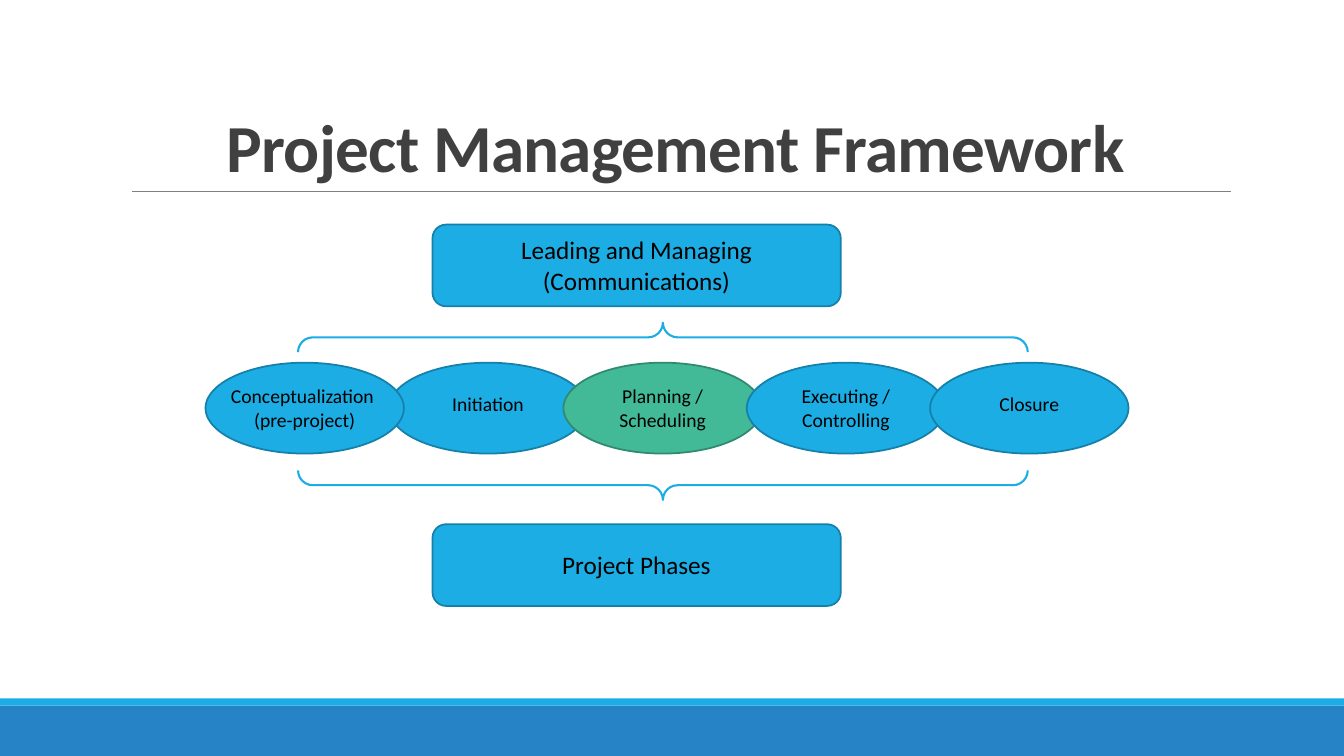
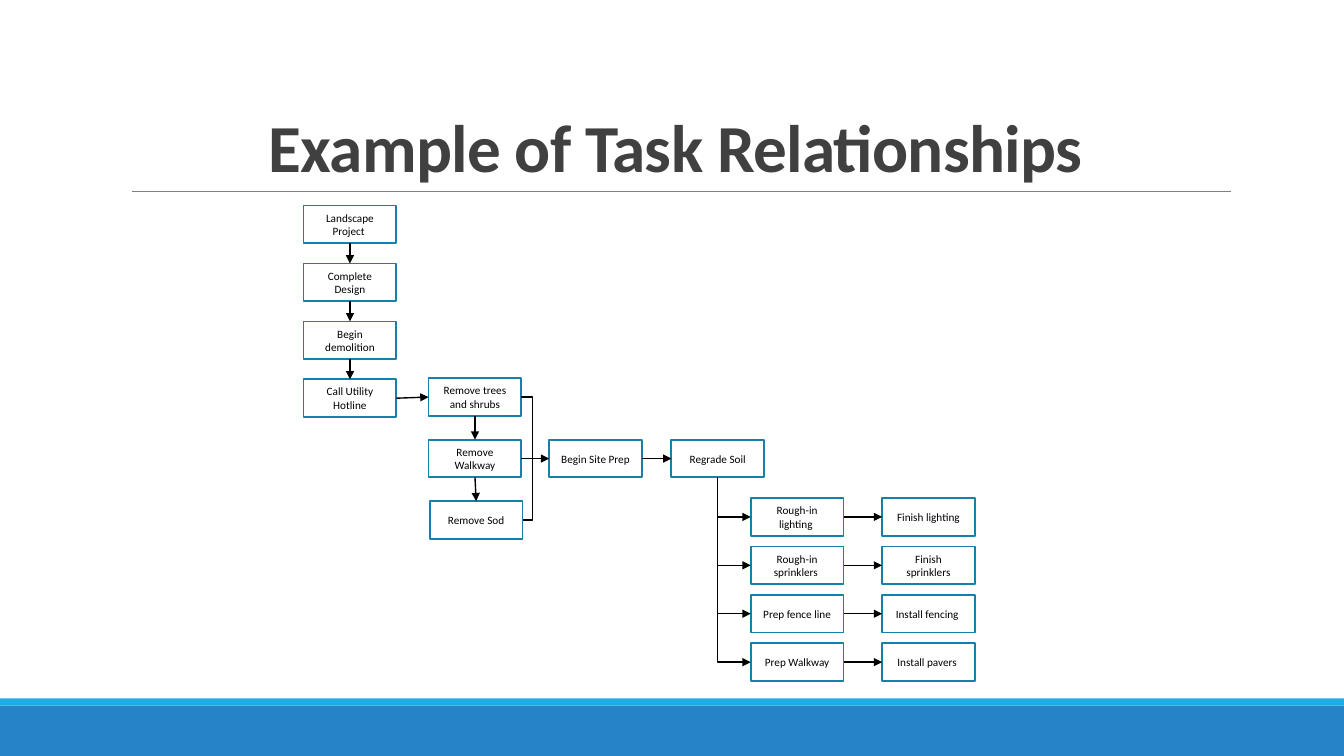
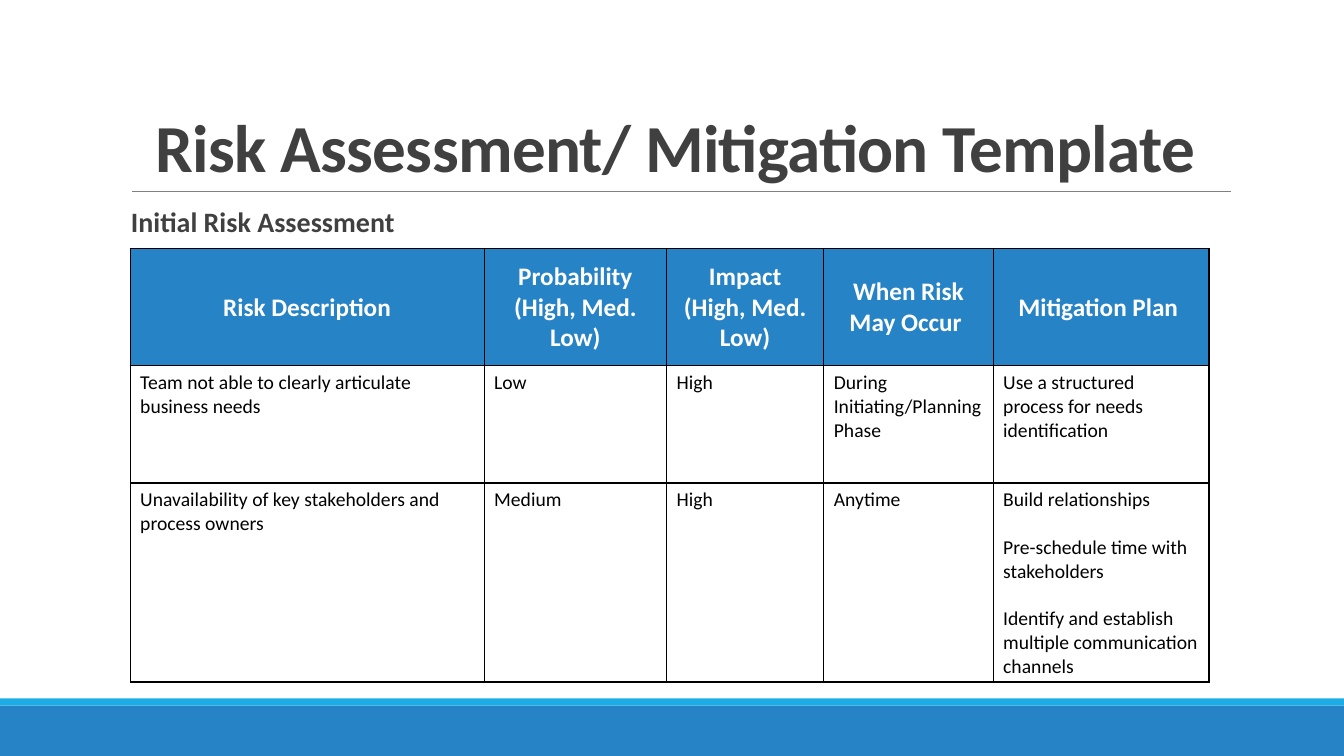
from lxml.etree import SubElement
from pptx import Presentation
from pptx.dml.color import RGBColor
from pptx.enum.shapes import MSO_CONNECTOR, MSO_SHAPE
from pptx.enum.text import MSO_ANCHOR, MSO_AUTO_SIZE, PP_ALIGN
from pptx.oxml.ns import qn
from pptx.util import Cm, Pt

FONT = "Calibri"
BLUE, SKY, GREEN = "2683C6", "1CADE4", "42BA97"
SKY_EDGE, GREEN_EDGE = "1580A9", "318A70"
INK, RULE, BLACK, WHITE = "404040", "808080", "000000", "FFFFFF"
TOP, LEFT, BOTTOM, RIGHT = range(4)


def color(hex_text):
    """Turn a hex string into a colour."""
    return RGBColor.from_string(hex_text)


def lengths(box):
    """Turn a box in centimetres into lengths."""
    return [Cm(value) for value in box]


def write(frame, lines, size, ink=BLACK, bold=False, align=PP_ALIGN.CENTER, gap=None):
    """Write one paragraph per line, with an optional gap in points between them."""
    frame.word_wrap = True
    for index, line in enumerate(lines):
        para = frame.paragraphs[0] if index == 0 else frame.add_paragraph()
        para.alignment = align
        if gap and index < len(lines) - 1:
            para.space_after = Pt(gap)
        span = para.add_run()
        span.text = line
        span.font.name = FONT
        span.font.size = Pt(size)
        span.font.bold = bold
        span.font.color.rgb = color(ink)


def add_block(page, kind, box, fill=None, edge=None, weight=1.25):
    """Add a flat preset shape."""
    shape = page.shapes.add_shape(kind, *lengths(box))
    shape.shadow.inherit = False
    if fill:
        shape.fill.solid()
        shape.fill.fore_color.rgb = color(fill)
    else:
        shape.fill.background()
    if edge:
        shape.line.color.rgb = color(edge)
        shape.line.width = Pt(weight)
    else:
        shape.line.fill.background()
    return shape


def add_label(page, center_x, center_y, width, lines, size):
    """Add a text box centred on a point."""
    height = len(lines) * size * 0.043 + 0.25
    box = (center_x - width / 2, center_y - height / 2, width, height)
    label = page.shapes.add_textbox(*lengths(box))
    write(label.text_frame, lines, size)


def style_connector(connector, ink=BLACK, weight=1, arrow=False):
    """Give a connector its line, and an arrowhead if asked."""
    connector.line.color.rgb = color(ink)
    connector.line.width = Pt(weight)
    properties = connector.element.spPr
    if arrow:
        SubElement(properties.find(qn("a:ln")), qn("a:tailEnd"), type="triangle")
    SubElement(properties, qn("a:effectLst"))


def link(page, kind, start, start_side, end, end_side, arrow=True):
    """Glue a connector to the sides of two shapes."""
    connector = page.shapes.add_connector(kind, 0, 0, 0, 0)
    connector.begin_connect(start, start_side)
    connector.end_connect(end, end_side)
    style_connector(connector, arrow=arrow)
    return connector


def add_branch(page, start, end):
    """Link the bottom of one shape to the left of another with one bend."""
    connector = link(page, MSO_CONNECTOR.ELBOW, start, BOTTOM, end, LEFT)
    across, down = connector.width, connector.height
    connector.left += (across - down) // 2
    connector.top += (down - across) // 2
    connector.width, connector.height = down, across
    properties = connector.element.spPr
    properties.find(qn("a:prstGeom")).set("prst", "bentConnector2")
    frame = properties.find(qn("a:xfrm"))
    frame.set("rot", str(270 * 60000))
    frame.set("flipH", "1")


def add_bracket(page, start, end, reach):
    """Join the right sides of two shapes with a bracket that reaches out."""
    connector = link(page, MSO_CONNECTOR.ELBOW, start, RIGHT, end, RIGHT, arrow=False)
    guides = connector.element.spPr.find(qn("a:prstGeom")).get_or_add_avLst()
    share = round(Cm(reach) / connector.width * 100000)
    SubElement(guides, qn("a:gd"), name="adj1", fmla=f"val {share}")


def dress_layout(layout, page):
    """Put the footer bands and the title rule on the layout."""
    for holder in list(layout.placeholders):
        if holder.placeholder_format.idx:
            holder.element.getparent().remove(holder.element)
    rule = page.shapes.add_connector(MSO_CONNECTOR.STRAIGHT, *lengths((3.33, 4.83, 31.01, 4.83)))
    style_connector(rule, RULE, 0.5)
    parts = [
        add_block(page, MSO_SHAPE.RECTANGLE, (0, 17.78, 33.87, 1.27), BLUE),
        add_block(page, MSO_SHAPE.RECTANGLE, (0, 17.6, 33.87, 0.18), SKY),
        rule,
    ]
    for part in parts:
        layout.shapes.element.append(part.element)


def add_title(page, text):
    """Place and format the slide title."""
    title = page.shapes.title
    title.left, title.top, title.width, title.height = lengths((3.05, 0.79, 27.94, 4.04))
    frame = title.text_frame
    frame.auto_size = MSO_AUTO_SIZE.NONE
    frame.vertical_anchor = MSO_ANCHOR.BOTTOM
    write(frame, [text], 48, INK, True)
    frame.paragraphs[0].line_spacing = 0.85
    for properties in title.element.iter(qn("a:rPr")):
        properties.set("spc", "-50")


def add_framework(page, left, top):
    """Draw the overlapping phases between two panels and a pair of braces."""
    width, height = 5, 2.29
    phase_top = top + 3.48
    phases = [
        (4.62, ["Initiation"]),
        (9.02, ["Planning /", "Scheduling"]),
        (13.64, ["Executing /", "Controlling"]),
        (18.26, ["Closure"]),
        (0, ["Conceptualization ", "(pre-project)"]),
    ]
    for offset, lines in phases:
        current = lines[0].startswith("Planning")
        fill, edge = (GREEN, GREEN_EDGE) if current else (SKY, SKY_EDGE)
        add_block(page, MSO_SHAPE.OVAL, (left + offset, phase_top, width, height), fill, edge)
    for offset, lines in phases:
        lift = 0.1 if len(lines) == 1 else 0
        add_label(page, left + offset + width / 2, phase_top + height / 2 - lift, 4.27, lines, 14)

    panels = [(0, ["Leading and Managing", "(Communications)"]), (7.55, ["Project Phases"])]
    for offset, lines in panels:
        box = (left + 5.72, top + offset, 10.29, 2.06)
        add_block(page, MSO_SHAPE.ROUNDED_RECTANGLE, box, SKY, SKY_EDGE)
        add_label(page, left + 10.86, top + offset + 1.03, 7.75, lines, 18)

    depth, span = 4.47, 18.39
    turn = (span - depth) / 2
    box = (left + 2.33 + turn, top + 2.47 - turn, depth, span)
    braces = add_block(page, MSO_SHAPE.DOUBLE_BRACE, box, edge=SKY, weight=1.5)
    braces.rotation = 90


def add_task(page, left, top, text):
    """Add one task box."""
    task = add_block(page, MSO_SHAPE.RECTANGLE, (left, top, 2.34, 0.95), WHITE, SKY_EDGE)
    task.text_frame.vertical_anchor = MSO_ANCHOR.MIDDLE
    write(task.text_frame, [text], 8)
    return task


def add_column(page, left, top, step, names):
    """Add task boxes one below the other."""
    return [add_task(page, left, top + row * step, name) for row, name in enumerate(names)]


def chain(page, tasks, start_side, end_side):
    """Link each task to the next with a straight arrow."""
    for start, end in zip(tasks, tasks[1:]):
        link(page, MSO_CONNECTOR.STRAIGHT, start, start_side, end, end_side)


def add_task_network(page, left, top):
    """Draw the task boxes and the arrows between them."""
    planning = add_column(page, left, top, 1.46, [
        "Landscape Project ", "Complete Design", "Begin demolition", "Call Utility Hotline"])
    trees, walkway = add_column(page, left + 3.15, top + 4.35, 1.55, [
        "Remove trees and shrubs", "Remove Walkway"])
    sod = add_task(page, left + 3.18, top + 7.45, "Remove Sod")
    site = add_task(page, left + 6.19, top + 5.9, "Begin Site Prep")
    regrade = add_task(page, left + 9.27, top + 5.9, "Regrade Soil")
    rough = add_column(page, left + 11.27, top + 7.37, 1.22, [
        "Rough-in lighting ", "Rough-in sprinklers ", "Prep fence line", "Prep Walkway"])
    finish = add_column(page, left + 14.58, top + 7.37, 1.22, [
        "Finish lighting", "Finish sprinklers", "Install fencing ", "Install pavers "])

    chain(page, planning, BOTTOM, TOP)
    chain(page, [planning[-1], trees], RIGHT, LEFT)
    chain(page, [trees, walkway, sod], BOTTOM, TOP)
    chain(page, [walkway, site, regrade], RIGHT, LEFT)
    add_bracket(page, trees, sod, 0.28)
    for first, last in zip(rough, finish):
        add_branch(page, regrade, first)
        chain(page, [first, last], RIGHT, LEFT)


def add_subtitle(page, box, text):
    """Add the bold heading above the table."""
    heading = page.shapes.add_textbox(*lengths(box))
    frame = heading.text_frame
    frame.margin_left, frame.margin_right = Cm(0.25), 0
    write(frame, [text], 20, INK, True, PP_ALIGN.LEFT)
    frame.paragraphs[0].line_spacing = 0.9


def add_borders(table_frame):
    """Draw a thin black border round every cell."""
    for cell in table_frame.element.iter(qn("a:tc")):
        properties = cell.get_or_add_tcPr()
        for side in ("lnL", "lnR", "lnT", "lnB"):
            border = SubElement(properties, qn(f"a:{side}"), w=str(Pt(1)))
            fill = SubElement(border, qn("a:solidFill"))
            SubElement(fill, qn("a:srgbClr"), val=BLACK)


def add_risk_table(page, left, top):
    """Add the risk table with its header row."""
    widths = [8.92, 4.6, 3.96, 4.27, 5.44]
    heights = [2.95, 2.95, 5]
    rows = [
        ["Risk Description", "Probability (High, Med. Low)", "Impact (High, Med. Low)",
         "When Risk May Occur ", "Mitigation Plan "],
        ["Team not able to clearly articulate business needs", "Low ", "High ",
         "During Initiating/Planning Phase", "Use a structured process for needs identification"],
        ["Unavailability of key stakeholders and process owners", "Medium ", "High ", "Anytime",
         "Build relationships\nPre-schedule time with stakeholders\n"
         "Identify and establish multiple communication channels"],
    ]
    box = (left, top, sum(widths), sum(heights))
    table_frame = page.shapes.add_table(len(rows), len(widths), *lengths(box))
    table = table_frame.table
    table.horz_banding = False
    for column, width in zip(table.columns, widths):
        column.width = Cm(width)
    for row, height in zip(table.rows, heights):
        row.height = Cm(height)
    add_borders(table_frame)
    for row_index, texts in enumerate(rows):
        for column_index, text in enumerate(texts):
            cell = table.cell(row_index, column_index)
            if row_index == 0:
                cell.fill.solid()
                cell.fill.fore_color.rgb = color(BLUE)
                cell.vertical_anchor = MSO_ANCHOR.MIDDLE
                write(cell.text_frame, [text], 18, WHITE, True)
            else:
                cell.fill.background()
                write(cell.text_frame, text.split("\n"), 14, align=PP_ALIGN.LEFT, gap=17)


def build():
    """Build and save the deck."""
    deck = Presentation()
    deck.slide_width, deck.slide_height = Cm(33.87), Cm(19.05)
    layout = deck.slide_layouts.get_by_name("Title Only")
    titles = ["Project Management Framework", "Example of Task Relationships",
              "Risk Assessment/ Mitigation Template"]
    pages = [deck.slides.add_slide(layout) for title in titles]
    framework, network, risks = pages
    dress_layout(layout, framework)
    for page, title in zip(pages, titles):
        add_title(page, title)
    add_framework(framework, 5.18, 5.66)
    add_task_network(network, 7.65, 5.18)
    add_subtitle(risks, (3.05, 5.13, 27.94, 11.18), "Initial Risk Assessment")
    add_risk_table(risks, 3.28, 6.27)
    deck.save("out.pptx")


build()
